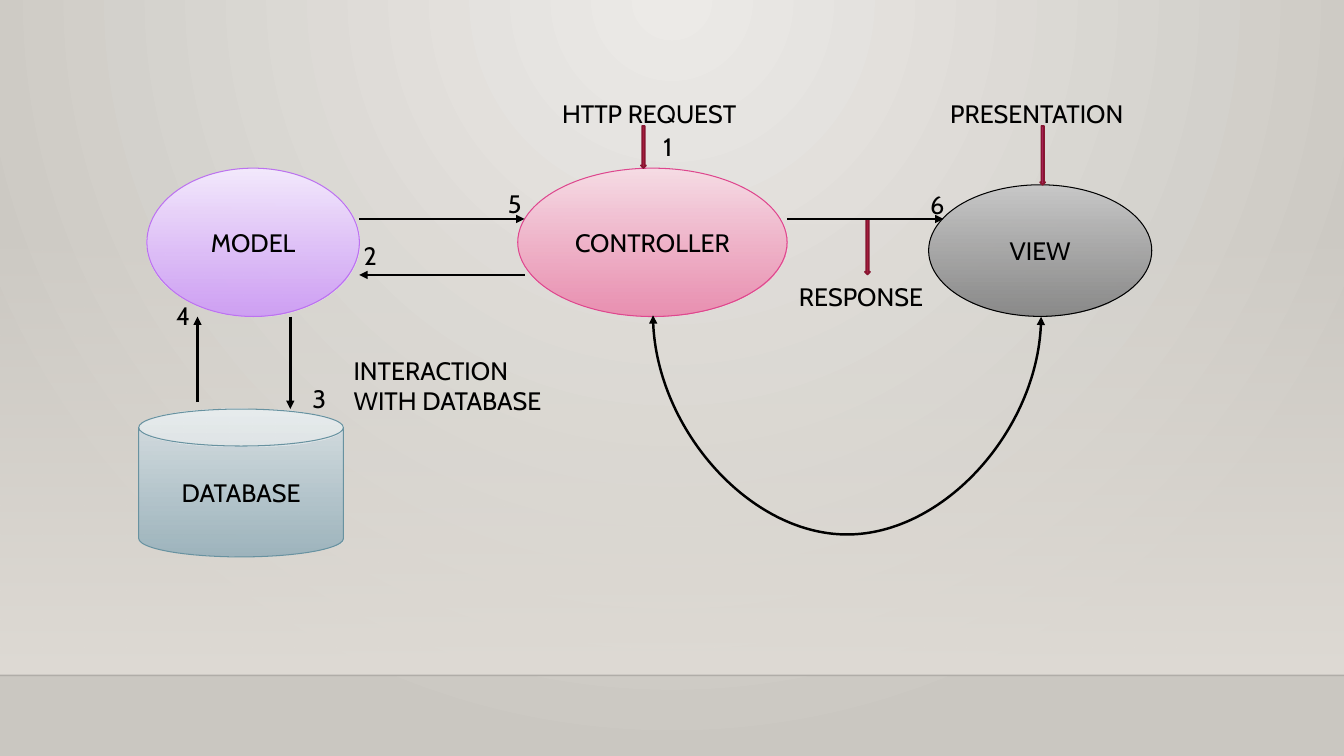
from lxml.etree import SubElement
from pptx import Presentation
from pptx.dml.color import RGBColor
from pptx.enum.shapes import MSO_CONNECTOR as Connector, MSO_SHAPE as Shape
from pptx.enum.text import MSO_ANCHOR as Anchor, PP_ALIGN as Align
from pptx.oxml.ns import qn
from pptx.util import Pt

BLACK = RGBColor(0x00, 0x00, 0x00)
BACKDROP_LIGHT = RGBColor(0xEC, 0xEA, 0xE7)
BACKDROP_DARK = RGBColor(0xCA, 0xC7, 0xC1)
WALL = RGBColor(0xDF, 0xDB, 0xD5)
LILAC_LIGHT = RGBColor(0xF4, 0xEA, 0xFD)
LILAC_DARK = RGBColor(0xCE, 0x9C, 0xF7)
LILAC_LINE = RGBColor(0xBC, 0x72, 0xF0)
PINK_LIGHT = RGBColor(0xF7, 0xDC, 0xE5)
PINK_DARK = RGBColor(0xEA, 0x8A, 0xAE)
PINK_LINE = RGBColor(0xDE, 0x47, 0x8E)
GREY_LIGHT = RGBColor(0xC8, 0xC8, 0xC8)
GREY_DARK = RGBColor(0x84, 0x84, 0x84)
BLUE_LIGHT = RGBColor(0xD9, 0xE1, 0xE4)
BLUE_DARK = RGBColor(0x9A, 0xB2, 0xBC)
BLUE_LINE = RGBColor(0x68, 0x92, 0xA0)
RED = RGBColor(0xB7, 0x1E, 0x42)
MAGENTA = RGBColor(0xBA, 0x21, 0x69)
RED_LINE = RGBColor(0x87, 0x16, 0x31)


def paint_gradient(fill, element, colors, opacities):
    """Fill from top to bottom; opacities are percentages, one for each color."""
    fill.gradient()
    fill.gradient_angle = 270
    for stop, color in zip(fill.gradient_stops, colors):
        stop.color.rgb = color
    gradient = next(element.iter(qn("a:gradFill")))
    for color_element, opacity in zip(gradient.iter(qn("a:srgbClr")), opacities):
        SubElement(color_element, qn("a:alpha"), val=str(opacity * 1000))


def write(shape, text, align):
    shape.text_frame.word_wrap = True
    paragraph = shape.text_frame.paragraphs[0]
    paragraph.alignment = align
    run = paragraph.add_run()
    run.text = text
    run.font.name = "Cabin"
    run.font.size = Pt(18)
    run.font.color.rgb = BLACK


presentation = Presentation()
presentation.slide_width, presentation.slide_height = Pt(960), Pt(540)
slide = presentation.slides.add_slide(presentation.slide_layouts[6])
shapes = slide.shapes

# Backdrop: a round glow from the top, and a wall that ends at the floor line
paint_gradient(slide.background.fill, slide.element, (BACKDROP_LIGHT, BACKDROP_DARK), (100, 100))
glow = next(slide.element.iter(qn("a:gradFill")))
glow.remove(glow.find(qn("a:lin")))
glow_center = SubElement(glow, qn("a:path"), path="circle")
SubElement(glow_center, qn("a:fillToRect"), l="43000", t="0", r="43000", b="100000")

wall = shapes.add_shape(Shape.RECTANGLE, Pt(0), Pt(159), Pt(960), Pt(323.4))
wall.shadow.inherit = False
wall.line.fill.background()
paint_gradient(wall.fill, wall.element, (WALL, WALL), (0, 100))

# Components
components = [
    ("MODEL", Shape.OVAL, 104.9, 120.1, 151.8, 106, LILAC_LIGHT, LILAC_DARK, LILAC_LINE),
    ("CONTROLLER", Shape.OVAL, 369.8, 120.1, 192.4, 106, PINK_LIGHT, PINK_DARK, PINK_LINE),
    ("VIEW", Shape.OVAL, 663.3, 132, 159.4, 94, GREY_LIGHT, GREY_DARK, BLACK),
    ("DATABASE", Shape.CAN, 99.1, 292.2, 146.2, 105.6, BLUE_LIGHT, BLUE_DARK, BLUE_LINE),
]
for name, kind, left, top, width, height, light, dark, outline in components:
    component = shapes.add_shape(kind, Pt(left), Pt(top), Pt(width), Pt(height))
    component.shadow.inherit = False
    paint_gradient(component.fill, component.element, (light, dark), (100, 92))
    component.line.color.rgb = outline
    component.line.width = Pt(0.75)
    component.text_frame.vertical_anchor = Anchor.MIDDLE
    write(component, name, Align.CENTER)

# Block arrows
for left, top, height, color in [
    (457.8, 90, 30, RED),
    (743, 90, 42, MAGENTA),
    (617.8, 156.4, 39.6, RED),
]:
    arrow = shapes.add_shape(Shape.DOWN_ARROW, Pt(left), Pt(top), Pt(3.6), Pt(height))
    arrow.shadow.inherit = False
    arrow.fill.solid()
    arrow.fill.fore_color.rgb = color
    arrow.line.color.rgb = RED_LINE
    arrow.line.width = Pt(1.25)

# Labels and step numbers
for text, left, top, width, height in [
    ("HTTP REQUEST", 394.4, 66.4, 143.3, 29),
    ("PRESENTATION", 671.6, 66.4, 143.3, 29),
    ("INTERACTION WITH DATABASE", 245.5, 250.4, 152, 51),
    ("RESPONSE", 563.6, 197.3, 106, 29),
    ("1", 471.6, 90, 9.4, 29),
    ("2", 252.7, 167.8, 29.5, 29),
    ("3", 216, 270, 15.1, 29),
    ("4", 118.8, 211, 21.6, 29),
    ("5", 355.7, 131, 19.4, 29),
    ("6", 657.4, 132, 14.4, 29),
]:
    label = shapes.add_textbox(Pt(left), Pt(top), Pt(width), Pt(height))
    write(label, text, Align.LEFT)

# Floor line, flow arrows, and the loop between controller and view
FLOOR, FLOW, LOOP = (), ("tailEnd",), ("headEnd", "tailEnd")
for ends, begin_x, begin_y, end_x, end_y in [
    (FLOOR, 0, 482.4, 960, 482.4),
    (FLOW, 256.6, 156.4, 374.7, 156.4),
    (FLOW, 562.2, 156.4, 673.9, 156.4),
    (FLOW, 374.7, 196.4, 256.6, 196.4),
    (FLOW, 207.4, 226.1, 207.4, 292.2),
    (FLOW, 141.1, 287.3, 141.1, 226.1),
    (LOOP, 605.5, 87.1, 604.5, 364.3),
]:
    kind = Connector.CURVE if ends == LOOP else Connector.STRAIGHT
    connector = shapes.add_connector(kind, Pt(begin_x), Pt(begin_y), Pt(end_x), Pt(end_y))
    connector.line.color.rgb = BLACK
    connector.line.width = Pt(1.75 if ends else 1)
    properties = connector.element.spPr
    for end in ends:
        SubElement(properties.find(qn("a:ln")), qn(f"a:{end}"), type="triangle")
    SubElement(properties, qn("a:effectLst"))
    if ends == FLOOR:
        SubElement(next(properties.iter(qn("a:srgbClr"))), qn("a:alpha"), val="20000")
    if ends == LOOP:
        properties.find(qn("a:xfrm")).set("rot", str(270 * 60000))
        adjustments = next(properties.iter(qn("a:avLst")))
        SubElement(adjustments, qn("a:gd"), name="adj1", fmla="val 15780000")

presentation.save("out.pptx")
